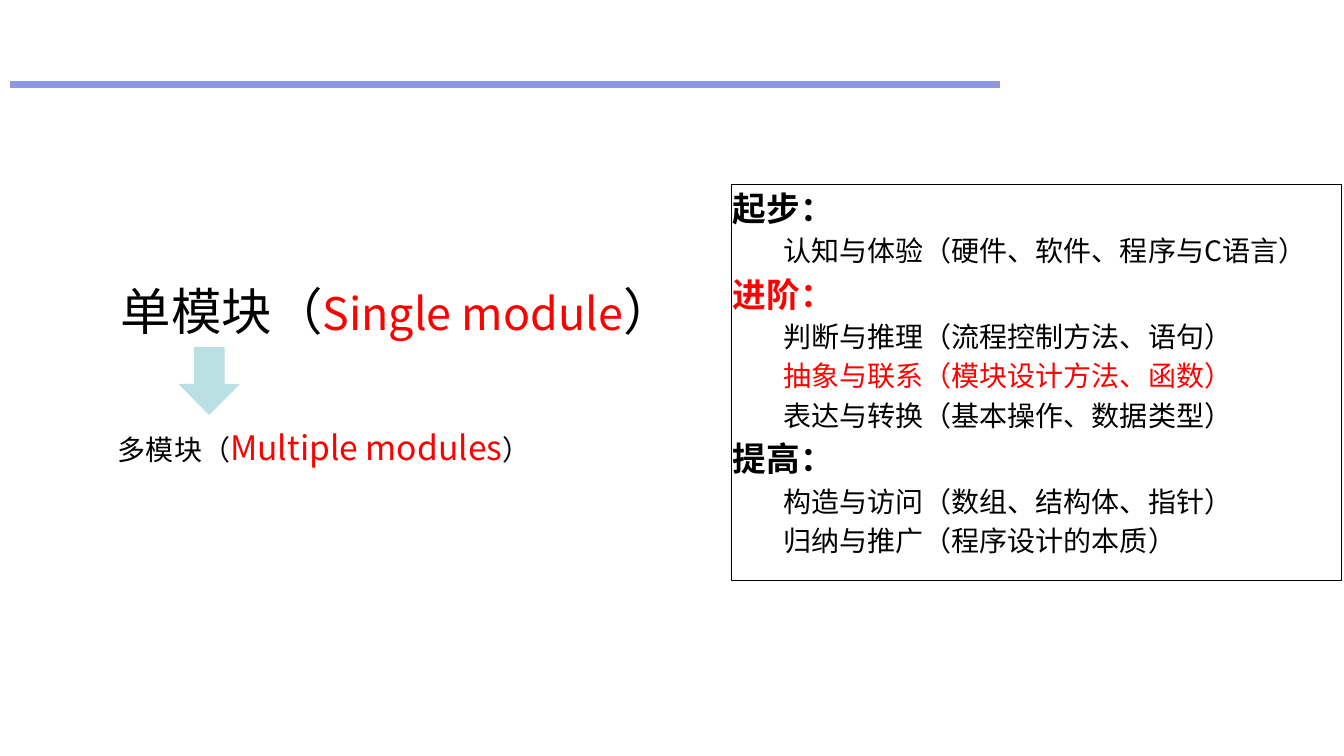
from lxml import etree
from pptx import Presentation
from pptx.dml.color import RGBColor
from pptx.enum.shapes import MSO_CONNECTOR, MSO_SHAPE
from pptx.enum.text import MSO_ANCHOR, PP_ALIGN
from pptx.oxml.ns import qn
from pptx.util import Inches, Pt

FONT = "Noto Sans CJK SC"
BLACK = RGBColor(0x00, 0x00, 0x00)
RED = RGBColor(0xFF, 0x00, 0x00)
RULE_BLUE = RGBColor(0x8D, 0x97, 0xE5)
ARROW_TEAL = RGBColor(0xBB, 0xE0, 0xE3)

# Content: runs are (text, size, colour)
TITLE = [("单模块（", 36, BLACK), ("Single module", 32, RED), ("）", 36, BLACK)]
SUBTITLE = [("多模块（", 20, BLACK), ("Multiple modules", 24, RED), ("）", 20, BLACK)]
# Stages: (heading, colour, [(topic, colour)])
STAGES = [
    ("起步：", BLACK, [("认知与体验（硬件、软件、程序与C语言）", BLACK)]),
    ("进阶：", RED, [
        ("判断与推理（流程控制方法、语句）", BLACK),
        ("抽象与联系（模块设计方法、函数）", RED),
        ("表达与转换（基本操作、数据类型）", BLACK),
    ]),
    ("提高：", BLACK, [
        ("构造与访问（数组、结构体、指针）", BLACK),
        ("归纳与推广（程序设计的本质）", BLACK),
    ]),
]


def set_frame(tf, anchor, margins):
    left, top, right, bottom = map(Inches, margins)
    formats = {"word_wrap": True, "vertical_anchor": anchor, "margin_left": left,
               "margin_top": top, "margin_right": right, "margin_bottom": bottom}
    for name, value in formats.items():
        setattr(tf, name, value)


def add_run(p, text, size, color, bold=False):
    r = p.add_run()
    r.text = text
    for name, value in {"name": FONT, "size": Pt(size), "bold": bold}.items():
        setattr(r.font, name, value)
    r.font.color.rgb = color
    # East Asian typeface
    etree.SubElement(r.font._element, qn("a:ea"), typeface=FONT)


def set_indent(p, inches):
    pPr = p._p.get_or_add_pPr()
    pPr.set("marL", str(Inches(inches)))
    pPr.set("indent", "0")


def add_line_of_text(s, box, runs, margins, indent=0):
    tf = s.shapes.add_textbox(*map(Inches, box)).text_frame
    set_frame(tf, MSO_ANCHOR.MIDDLE, margins)
    p = tf.paragraphs[0]
    set_indent(p, indent)
    for run in runs:
        add_run(p, *run)


prs = Presentation()
prs.slide_width, prs.slide_height = Inches(13.33), Inches(7.5)
s = prs.slides.add_slide(prs.slide_layouts[6])

# Rule across the top
rule = s.shapes.add_connector(MSO_CONNECTOR.STRAIGHT, Inches(0.1), Inches(0.84),
                              Inches(9.92), Inches(0.84))
rule.line.color.rgb = RULE_BLUE
rule.line.width = Pt(4.5)
etree.SubElement(rule._element.spPr, qn("a:effectLst"))

# Title and subtitle
add_line_of_text(s, (1.1, 2.49, 6.5, 1.18), TITLE, (0.1, 0.05, 0.1, 0.05))
add_line_of_text(s, (0.9, 3.84, 6.5, 1.18), SUBTITLE, (0.02, 0.01, 0.02, 0.01), 0.25)

# Course outline box
outline = s.shapes.add_shape(MSO_SHAPE.RECTANGLE, Inches(7.26), Inches(1.83),
                             Inches(6.05), Inches(3.93))
outline.shadow.inherit = False
outline.fill.background()
outline.line.color.rgb = BLACK
outline.line.width = Pt(0.75)
tf = outline.text_frame
set_frame(tf, MSO_ANCHOR.TOP, (0.01, 0.03, 0.02, 0.01))

rows = []
for heading, color, topics in STAGES:
    rows.append((heading, 24, color, True))
    rows += [(topic, 20, topic_color, False) for topic, topic_color in topics]

for i, (text, size, color, is_heading) in enumerate(rows):
    p = tf.add_paragraph() if i else tf.paragraphs[0]
    p.alignment = PP_ALIGN.LEFT
    p.level = 0 if is_heading else 1
    set_indent(p, 0 if is_heading else 0.5)
    p.space_before = Pt(0.2 * size if i else 0)
    add_run(p, text, size, color, is_heading)

# Arrow from single to multiple modules
arrow = s.shapes.add_shape(MSO_SHAPE.DOWN_ARROW, Inches(1.78), Inches(3.45),
                           Inches(0.59), Inches(0.66))
arrow.shadow.inherit = False
arrow.fill.solid()
arrow.fill.fore_color.rgb = ARROW_TEAL
arrow.line.color.rgb = ARROW_TEAL
arrow.line.width = Pt(0.75)

prs.save("out.pptx")
